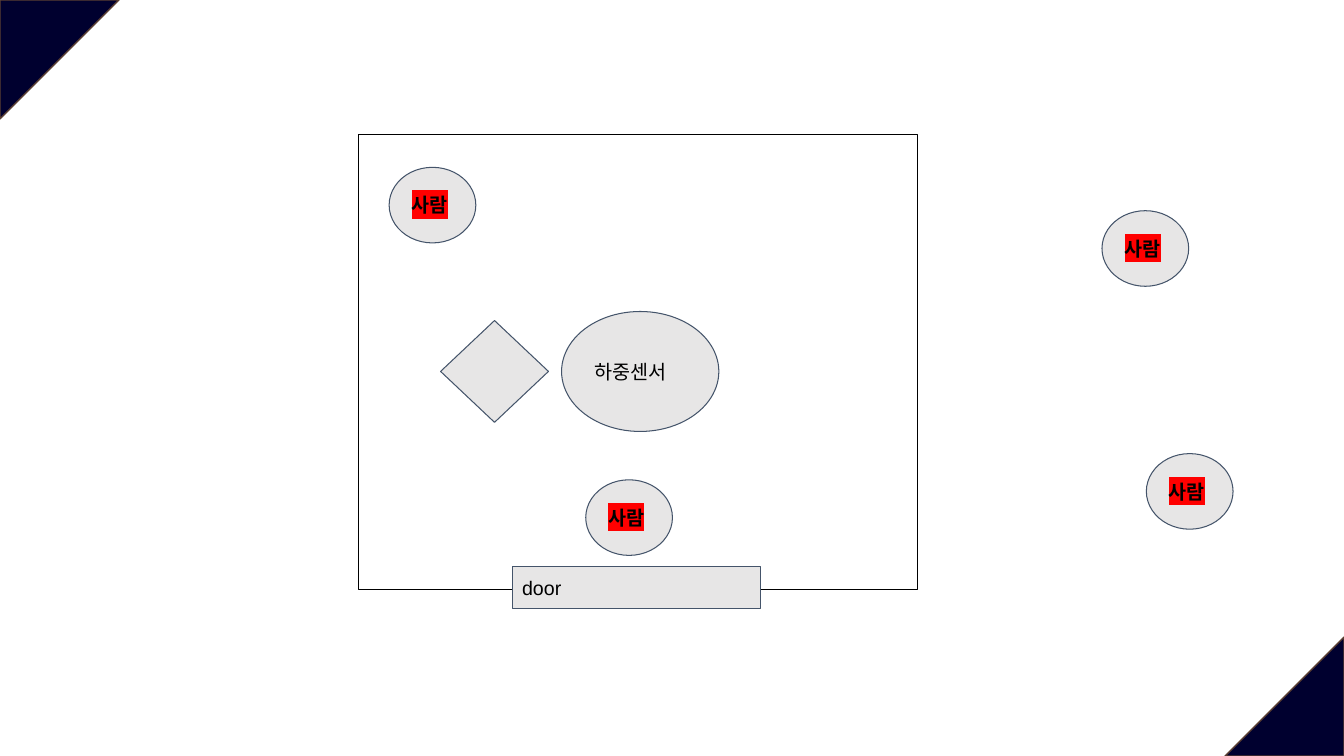
"""Build a room plan slide with a door, a load sensor and people."""
from dataclasses import dataclass

from lxml import etree
from pptx import Presentation
from pptx.dml.color import RGBColor
from pptx.enum.shapes import MSO_SHAPE
from pptx.enum.text import MSO_ANCHOR, PP_ALIGN
from pptx.oxml.ns import qn
from pptx.util import Inches, Pt

RECTANGLE = MSO_SHAPE.RECTANGLE
OVAL = MSO_SHAPE.OVAL
DECISION = MSO_SHAPE.FLOWCHART_DECISION
TRIANGLE = MSO_SHAPE.ISOSCELES_TRIANGLE
MIDDLE = MSO_ANCHOR.MIDDLE
LEFT = PP_ALIGN.LEFT

PAGE_WIDTH, PAGE_HEIGHT = 13.33, 7.5
CORNER = 1.18
PERSON_WIDTH, PERSON_HEIGHT = 0.86, 0.75
PERSON_PLACES = [(10.93, 2.09), (5.81, 4.76), (3.86, 1.66), (11.37, 4.5)]
NAVY, BROWN, GREY, SLATE = "00002F", "5B3F33", "E7E6E6", "44546A"
BLACK, RED = "000000", "FF0000"


@dataclass
class Item:
    kind: MSO_SHAPE
    left: float
    top: float
    width: float
    height: float
    label: str = ""
    marker: str = ""
    fill: str = GREY
    line: str = SLATE
    line_width: float = 0.75
    rotation: float = 0


def colour(value: str) -> RGBColor:
    return RGBColor.from_string(value)


def write_label(shape, label: str, marker: str) -> None:
    frame = shape.text_frame
    frame.text = label
    frame.word_wrap = True
    frame.vertical_anchor = MIDDLE
    frame.margin_left = frame.margin_right = Inches(0.1)
    frame.margin_top = frame.margin_bottom = Inches(0.1)
    para = frame.paragraphs[0]
    para.alignment = LEFT
    span = para.runs[0]
    span.font.name = "Arial"
    span.font.size = Pt(14)
    span.font.color.rgb = colour(BLACK)
    if marker:
        span.font.bold = True
        highlight = etree.Element(qn("a:highlight"))
        etree.SubElement(highlight, qn("a:srgbClr"), val=marker)
        span.font._element.find(qn("a:solidFill")).addnext(highlight)


def draw(page, item: Item) -> None:
    shape = page.shapes.add_shape(
        item.kind, Inches(item.left), Inches(item.top),
        Inches(item.width), Inches(item.height))
    shape.shadow.inherit = False
    shape.rotation = item.rotation
    if item.kind == TRIANGLE:
        shape.adjustments[0] = 0
    if item.fill:
        shape.fill.solid()
        shape.fill.fore_color.rgb = colour(item.fill)
    else:
        shape.fill.background()
    shape.line.color.rgb = colour(item.line)
    shape.line.width = Pt(item.line_width)
    if item.label:
        write_label(shape, item.label, item.marker)


def corner(left: float, top: float, rotation: float) -> Item:
    return Item(TRIANGLE, left, top, CORNER, CORNER, fill=NAVY, line=BROWN,
                line_width=1, rotation=rotation)


def main() -> None:
    deck = Presentation()
    deck.slide_width = Inches(PAGE_WIDTH)
    deck.slide_height = Inches(PAGE_HEIGHT)
    page = deck.slides.add_slide(deck.slide_layouts[6])
    people = [Item(OVAL, left, top, PERSON_WIDTH, PERSON_HEIGHT, "사람", RED)
              for left, top in PERSON_PLACES]
    items = [
        corner(0, 0, 90),
        corner(PAGE_WIDTH - CORNER, PAGE_HEIGHT - CORNER, 270),
        Item(RECTANGLE, 3.56, 1.33, 5.54, 4.52, fill="", line=BLACK),
        Item(RECTANGLE, 5.08, 5.62, 2.46, 0.42, "door"),
        Item(OVAL, 5.57, 3.09, 1.56, 1.19, "하중센서"),
        Item(DECISION, 4.37, 3.18, 1.07, 1.01),
        *people,
    ]
    for item in items:
        draw(page, item)
    deck.save("out.pptx")


if __name__ == "__main__":
    main()
